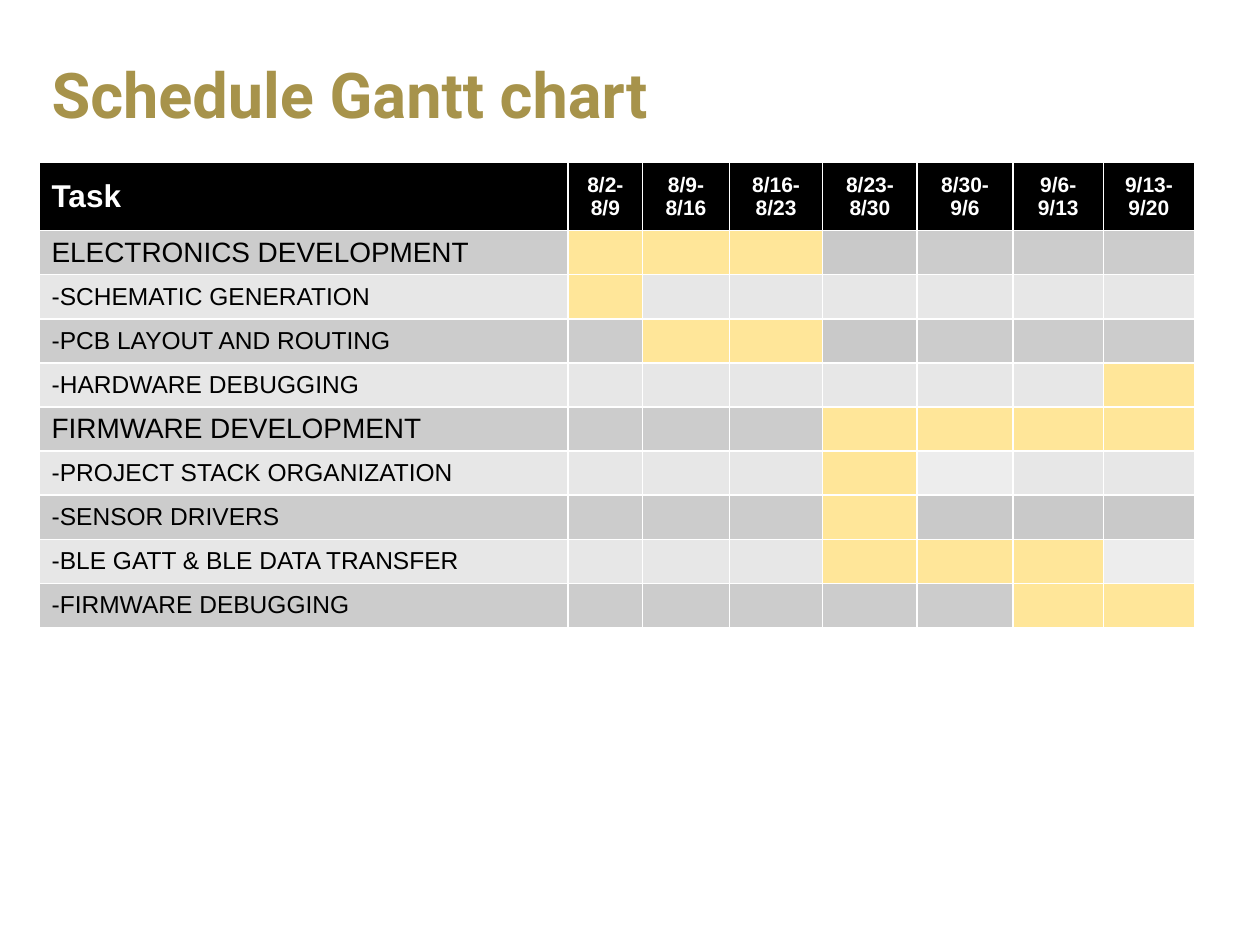
from pptx import Presentation
from pptx.dml.color import RGBColor
from pptx.enum.text import MSO_ANCHOR, MSO_AUTO_SIZE, PP_ALIGN
from pptx.util import Inches, Pt

MIDDLE = MSO_ANCHOR.MIDDLE
NO_AUTOFIT = MSO_AUTO_SIZE.NONE
LEFT, CENTER = PP_ALIGN.LEFT, PP_ALIGN.CENTER

COLORS = {
    "gold": "A7934B",
    "black": "000000",
    "white": "FFFFFF",
    "active": "FFE699",
    "dark band": "CCCCCC",
    "light band": "E7E7E7",
    "dark accent": "C9C9C9",
    "light accent": "EDEDED",
}

TITLE = "Schedule Gantt chart"
WEEKS = ["8/2-8/9", "8/9-8/16", "8/16-8/23", "8/23-8/30", "8/30-9/6", "9/6-9/13", "9/13-9/20"]
TASKS = [
    ("ELECTRONICS DEVELOPMENT", 1, 3),
    ("-SCHEMATIC GENERATION", 1, 1),
    ("-PCB LAYOUT AND ROUTING", 2, 3),
    ("-HARDWARE DEBUGGING", 7, 7),
    ("FIRMWARE DEVELOPMENT", 4, 7),
    ("-PROJECT STACK ORGANIZATION", 4, 4),
    ("-SENSOR DRIVERS", 4, 4),
    ("-BLE GATT & BLE DATA TRANSFER", 4, 6),
    ("-FIRMWARE DEBUGGING", 6, 7),
]
ACCENTS = {
    "dark accent": [(1, 4), (3, 4), (7, 5), (7, 6), (7, 7)],
    "light accent": [(6, 5), (8, 7)],
}
ACCENT_BY_CELL = {cell: name for name, cells in ACCENTS.items() for cell in cells}

COLUMN_WIDTHS = [4.2, 0.59, 0.69, 0.74, 0.75, 0.76, 0.72, 0.72]
HEADER_HEIGHT, TASK_HEIGHT = 0.54, 0.35


def color(name):
    return RGBColor.from_string(COLORS[name])


def format_paragraph(paragraph, size, color_name, bold=False, font="Arial", align=LEFT):
    paragraph.alignment = align
    paragraph.font.name = font
    paragraph.font.size = Pt(size)
    paragraph.font.bold = bold
    paragraph.font.color.rgb = color(color_name)


def fill_cell(cell, fill, text="", size=12, color_name="black", bold=False, align=LEFT):
    cell.fill.solid()
    cell.fill.fore_color.rgb = color(fill)
    cell.vertical_anchor = MIDDLE
    cell.margin_top = cell.margin_bottom = 0
    cell.text = text
    format_paragraph(cell.text_frame.paragraphs[0], size, color_name, bold, align=align)


def add_title(slide):
    title = slide.shapes.title
    title.left, title.top = Inches(0.31), Inches(0.22)
    title.width, title.height = Inches(9.38), Inches(1.11)
    frame = title.text_frame
    frame.text = TITLE
    frame.auto_size = NO_AUTOFIT
    frame.vertical_anchor = MIDDLE
    paragraph = frame.paragraphs[0]
    paragraph.line_spacing = 0.9
    format_paragraph(paragraph, 36, "gold", bold=True, font="Roboto")


def add_schedule(slide):
    heights = [HEADER_HEIGHT] + [TASK_HEIGHT] * len(TASKS)
    table = slide.shapes.add_table(
        len(heights), len(COLUMN_WIDTHS), Inches(0.31), Inches(1.29),
        Inches(sum(COLUMN_WIDTHS)), Inches(sum(heights)),
    ).table
    for column, width in zip(table.columns, COLUMN_WIDTHS):
        column.width = Inches(width)
    for row, height in zip(table.rows, heights):
        row.height = Inches(height)

    fill_cell(table.cell(0, 0), "black", "Task", 18, "white", True)
    for week, label in enumerate(WEEKS, 1):
        fill_cell(table.cell(0, week), "black", label, 12, "white", True, CENTER)

    for row, (task, start, end) in enumerate(TASKS, 1):
        band = "dark band" if row % 2 else "light band"
        fill_cell(table.cell(row, 0), band, task, 14 if task.startswith("-") else 16)
        for week in range(1, len(WEEKS) + 1):
            active = start <= week <= end
            fill = "active" if active else ACCENT_BY_CELL.get((row, week), band)
            fill_cell(table.cell(row, week), fill)


def main():
    presentation = Presentation()
    presentation.slide_width, presentation.slide_height = Inches(10), Inches(7.5)
    slide = presentation.slides.add_slide(presentation.slide_layouts[5])
    add_title(slide)
    add_schedule(slide)
    presentation.save("out.pptx")


if __name__ == "__main__":
    main()
